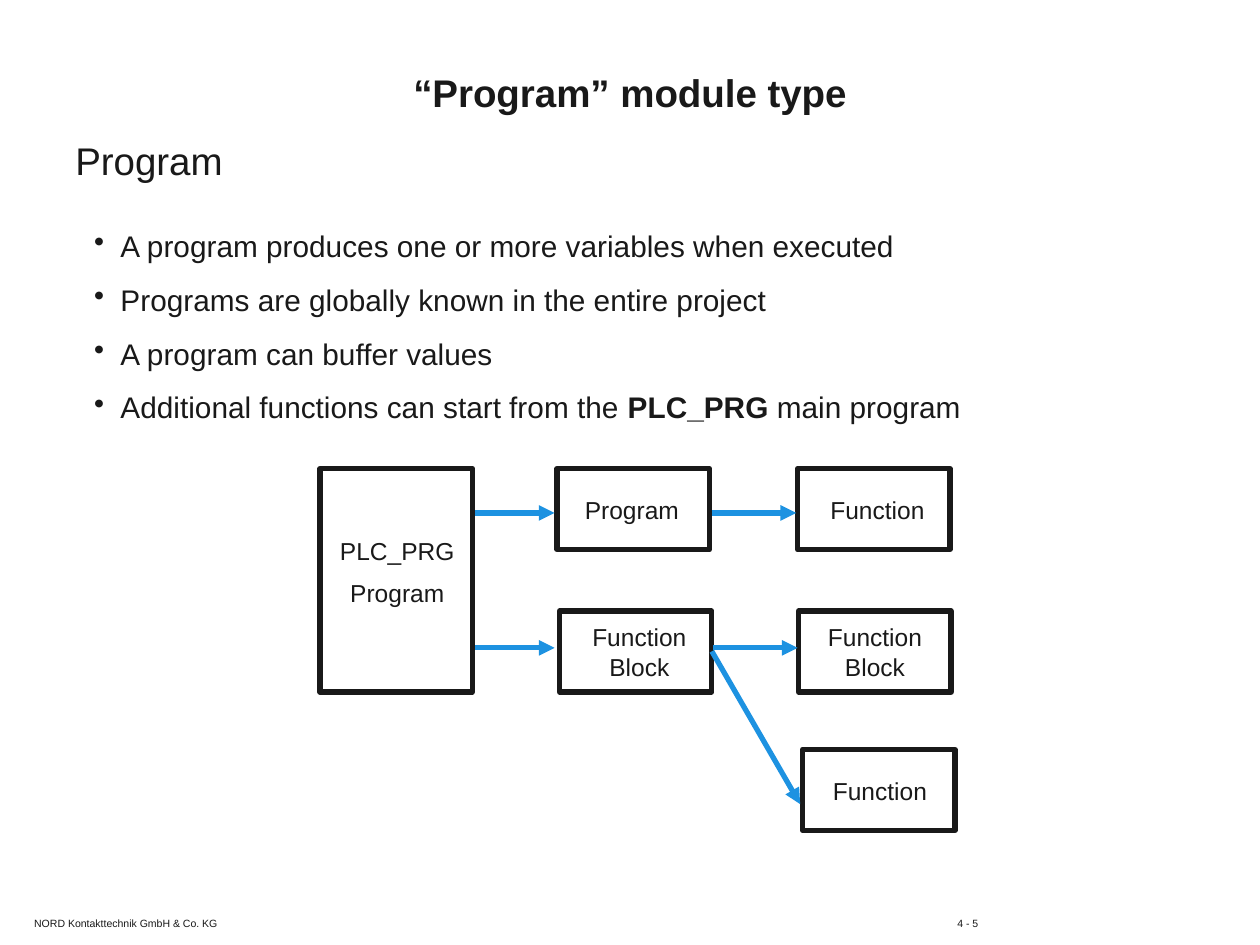
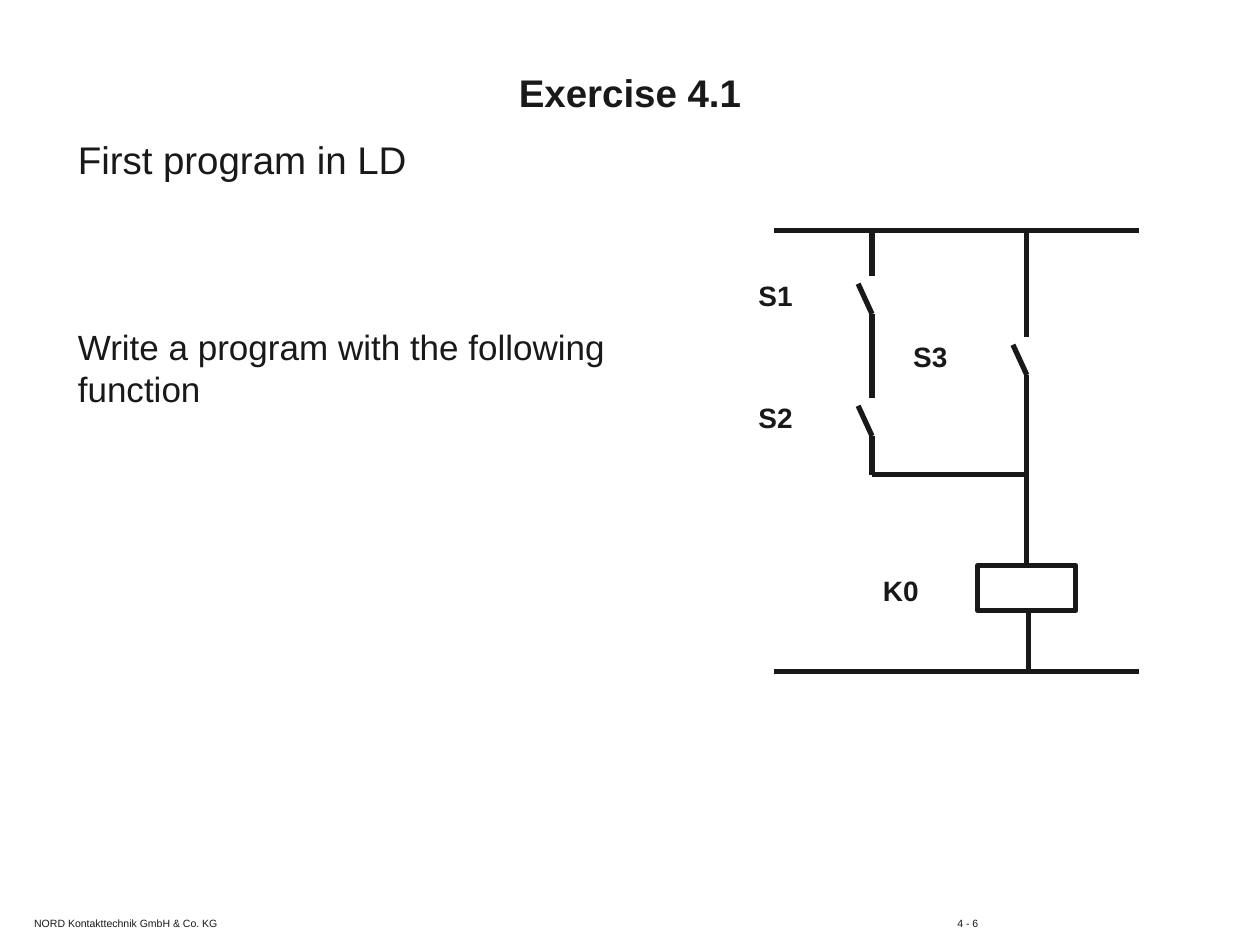
"""Build two training slides on program modules and a first ladder diagram."""
from dataclasses import dataclass

from lxml import etree
from pptx import Presentation
from pptx.dml.color import RGBColor
from pptx.enum.shapes import MSO_CONNECTOR, MSO_SHAPE
from pptx.enum.text import MSO_ANCHOR, PP_ALIGN
from pptx.oxml.ns import qn
from pptx.slide import Slide
from pptx.text.text import TextFrame
from pptx.util import Cm, Pt

INK = RGBColor(0x19, 0x19, 0x19)
BLUE = RGBColor(0x1D, 0x92, 0xE1)
FONT = "Arial"
LEFT, CENTER = PP_ALIGN.LEFT, PP_ALIGN.CENTER
TOP, MIDDLE = MSO_ANCHOR.TOP, MSO_ANCHOR.MIDDLE
STRAIGHT = MSO_CONNECTOR.STRAIGHT
RECT, PROCESS = MSO_SHAPE.RECTANGLE, MSO_SHAPE.FLOWCHART_PROCESS
STROKE = Pt(3)
MAKER = "NORD Kontakttechnik GmbH & Co. KG"

BOX_W, BOX_H, LABEL_W = 3.07, 1.63, 3.02
ROW_1, ROW_2, ROW_3 = 9.45, 12.32, 15.11
ONE_LINE, TWO_LINE = 0.41, 0.1

RAIL_X, RAIL_END = 15.6, 22.96
RAIL_TOP, RAIL_LOW = 4.65, 13.54
WIRE_A, WIRE_B = 17.58, 20.7
PITCH = 2.46
COIL_Y, COIL_H = 11.4, 0.91

BULLETS = (
    "A program produces one or more variables when executed\n"
    "Programs are globally known in the entire project\n"
    "A program can buffer values\n"
    "Additional functions can start from the **PLC_PRG** main program"
)


@dataclass(frozen=True)
class Block:
    """A framed module and the offset of its label, in cm."""
    text: str
    x: float
    y: float
    dx: float
    dy: float = ONE_LINE
    h: float = BOX_H


@dataclass(frozen=True)
class Line:
    """A straight line between two points, in cm."""
    x1: float
    y1: float
    x2: float
    y2: float


@dataclass(frozen=True)
class Switch:
    """A contact on a wire, in cm."""
    name: str
    x: float
    y: float


BLOCKS = (
    Block("PLC_PRG\nProgram", 6.45, ROW_1, 0.05, 1.24, 4.5),
    Block("Program", 11.23, ROW_1, 0),
    Block("Function", 16.08, ROW_1, 0.1),
    Block("Function Block", 11.28, ROW_2, 0.1, TWO_LINE),
    Block("Function Block", 16.1, ROW_2, 0.03, TWO_LINE),
    Block("Function", 16.18, ROW_3, 0.05),
)
ARROWS = (
    Line(9.58, 10.34, 11.18, 10.34),
    Line(14.35, 10.34, 16.05, 10.34),
    Line(14.35, 13.13, 16.13, 16.21),
    Line(9.58, 13.06, 11.18, 13.06),
    Line(14.38, 13.06, 16.08, 13.06),
)
SWITCHES = (
    Switch("S1", WIRE_A, RAIL_TOP),
    Switch("S2", WIRE_A, RAIL_TOP + PITCH),
    Switch("S3", WIRE_B, RAIL_TOP + PITCH / 2),
)
JOIN_Y = RAIL_TOP + 2 * PITCH
WIRES = (
    Line(RAIL_X, RAIL_TOP, RAIL_END, RAIL_TOP),
    Line(RAIL_X, RAIL_LOW, RAIL_END, RAIL_LOW),
    Line(WIRE_B, RAIL_TOP, WIRE_B, RAIL_TOP + PITCH / 2),
    Line(WIRE_A, JOIN_Y, WIRE_B, JOIN_Y),
    Line(WIRE_B, RAIL_TOP + 1.5 * PITCH, WIRE_B, COIL_Y),
    Line(WIRE_B + 0.03, COIL_Y + COIL_H, WIRE_B + 0.03, RAIL_LOW),
)


def write(frame: TextFrame, text: str, *, size: float, bold: bool = False,
          align: PP_ALIGN = LEFT, anchor: MSO_ANCHOR = TOP, gap: float = 0,
          pitch: float = 0, bullet: bool = False, wrap: bool = True) -> None:
    """Fill a frame, one paragraph a line; double stars switch bold."""
    frame.word_wrap = wrap
    frame.vertical_anchor = anchor
    for row, line in enumerate(text.split("\n")):
        para = frame.add_paragraph() if row else frame.paragraphs[0]
        para.alignment = align
        para.space_before = Pt(gap if row else 0)
        if pitch:
            para.line_spacing = Pt(pitch)
        if bullet:
            props = para._p.get_or_add_pPr()
            props.set("marL", str(Cm(0.53)))
            props.set("indent", str(-Cm(0.53)))
            etree.SubElement(props, qn("a:buChar")).set("char", "•")
        for part, piece in enumerate(line.split("**")):
            run = para.add_run()
            run.text = piece
            run.font.name = FONT
            run.font.size = Pt(size)
            run.font.bold = bold or part % 2 == 1
            run.font.color.rgb = INK


def label(slide: Slide, text: str, x: float, y: float, w: float, h: float,
          **style) -> TextFrame:
    """Add a text box and return its frame."""
    frame = slide.shapes.add_textbox(Cm(x), Cm(y), Cm(w), Cm(h)).text_frame
    write(frame, text, **style)
    return frame


def frame_box(slide: Slide, kind: MSO_SHAPE, x: float, y: float,
              w: float, h: float) -> None:
    """Draw an unfilled box with a dark outline."""
    box = slide.shapes.add_shape(kind, Cm(x), Cm(y), Cm(w), Cm(h))
    box.shadow.inherit = False
    box.fill.background()
    box.line.color.rgb = INK
    box.line.width = STROKE


def draw(slide: Slide, line: Line, color: RGBColor = INK,
         arrow: bool = False) -> None:
    """Draw a line, with an arrowhead at its end if asked."""
    link = slide.shapes.add_connector(
        STRAIGHT, Cm(line.x1), Cm(line.y1), Cm(line.x2), Cm(line.y2))
    link.line.color.rgb = color
    link.line.width = STROKE
    if arrow:
        tail = etree.SubElement(link.line._get_or_add_ln(), qn("a:tailEnd"))
        tail.set("type", "triangle")
    etree.SubElement(link._element.spPr, qn("a:effectLst"))


def draw_block(slide: Slide, block: Block) -> None:
    """Draw a module box and its label."""
    frame_box(slide, PROCESS, block.x, block.y, BOX_W, block.h)
    label(slide, block.text, block.x + block.dx, block.y + block.dy,
          LABEL_W, 0.86, size=14, align=CENTER, gap=7)


def draw_switch(slide: Slide, item: Switch) -> None:
    """Draw an open contact with its feed, blade, tail and name."""
    x, y = item.x, item.y
    draw(slide, Line(x, y, x, y + 0.92))
    draw(slide, Line(x - 0.28, y + 1.07, x, y + 1.68))
    draw(slide, Line(x, y + 1.68, x, y + PITCH))
    label(slide, item.name, x - 2.54, y + 0.84, 1.98, 0.94,
          size=16, bold=True)


def start(deck: Presentation, title: str, page: str) -> Slide:
    """Add a slide with the shared title and footer."""
    slide = deck.slides.add_slide(deck.slide_layouts[5])
    head = slide.shapes.title
    head.left, head.top = Cm(0.97), Cm(1.22)
    head.width, head.height = Cm(23.46), Cm(1.27)
    write(head.text_frame, title, size=22, bold=True, align=CENTER,
          anchor=MIDDLE)
    for text, x, w in ((MAKER, 0.46, 6), (page, 19.07, 1.4)):
        foot = label(slide, text, x, 18.39, w, 0.48, size=6, wrap=False)
        foot.margin_left = foot.margin_right = Cm(0.23)
        foot.margin_top = foot.margin_bottom = Cm(0.1)
    return slide


def module_slide(deck: Presentation) -> None:
    """Build the slide on the program module type."""
    slide = start(deck, "“Program” module type", "4 - 5")
    label(slide, "Program", 1.27, 2.64, 3.53, 1.19, size=22, wrap=False)
    label(slide, BULLETS, 1.65, 4.11, 22.15, 4.65, size=17, pitch=30.7,
          bullet=True)
    for block in BLOCKS:
        draw_block(slide, block)
    for arrow in ARROWS:
        draw(slide, arrow, BLUE, arrow=True)


def ladder_slide(deck: Presentation) -> None:
    """Build the exercise slide with its circuit."""
    slide = start(deck, "Exercise 4.1", "4 - 6")
    label(slide, "First program in LD", 1.32, 2.62, 9.32, 1.19, size=22)
    label(slide, "Write a program with the following function",
          1.32, 6.43, 11.73, 3.5, size=20)
    for wire in WIRES:
        draw(slide, wire)
    for item in SWITCHES:
        draw_switch(slide, item)
    frame_box(slide, RECT, 19.71, COIL_Y, 1.98, COIL_H)
    label(slide, "K0", 17.55, 11.43, 1.98, 0.94, size=16, bold=True)


def main() -> None:
    """Build and save the deck."""
    deck = Presentation()
    deck.slide_width, deck.slide_height = Cm(25.4), Cm(19.05)
    module_slide(deck)
    ladder_slide(deck)
    deck.save("out.pptx")


if __name__ == "__main__":
    main()
